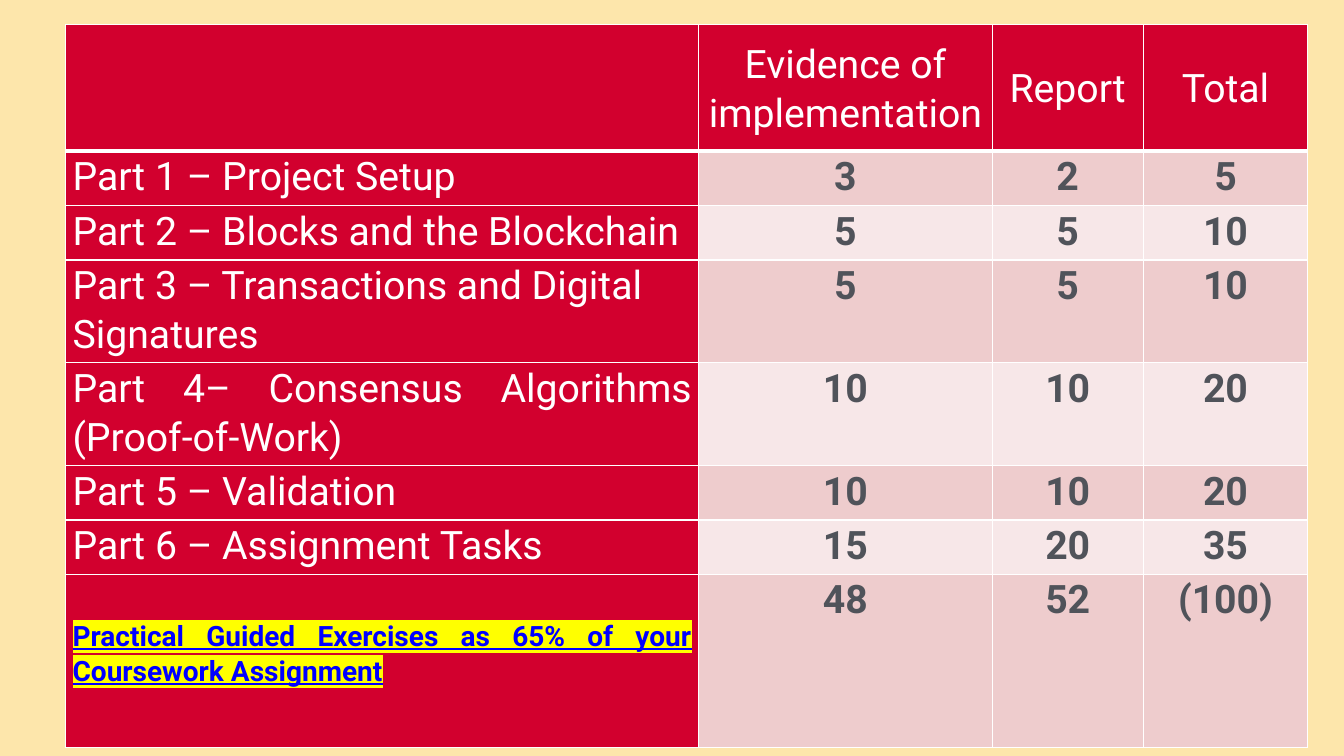
import dataclasses
import typing

import lxml.etree
import pptx
import pptx.dml.color
import pptx.enum.text
import pptx.oxml.ns
import pptx.util

PX = 9144
COLORS = {
    "background": "FDE6AB", "red": "D2002E", "pink": "EECCCD", "pale": "F7E7E8",
    "white": "FFFFFF", "grey": "50535A", "blue": "0000FF", "yellow": "FFFF00",
}
ALIGN = pptx.enum.text.PP_ALIGN
ANCHOR = pptx.enum.text.MSO_ANCHOR
qn = pptx.oxml.ns.qn


@dataclasses.dataclass(frozen=True)
class TextStyle:
    color: str
    align: ALIGN
    font: dict[str, typing.Any]
    anchor: ANCHOR = ANCHOR.TOP
    top: int = 0
    highlight: str = ""


@dataclasses.dataclass(frozen=True)
class MarkRow:
    label: str
    marks: tuple[str, str, str]
    height: int
    style: TextStyle


BASE = {"name": "Roboto", "size": pptx.util.Pt(28)}
HEADER = TextStyle("white", ALIGN.CENTER, BASE, ANCHOR.MIDDLE)
LABEL = TextStyle("white", ALIGN.JUSTIFY, BASE)
LABEL_LEFT = TextStyle("white", ALIGN.LEFT, BASE)
MARK = TextStyle("grey", ALIGN.CENTER, BASE | {"bold": True})
SUMMARY = TextStyle(
    "blue", ALIGN.JUSTIFY,
    BASE | {"size": pptx.util.Pt(20), "bold": True, "underline": True},
    top=43, highlight="yellow",
)

COLUMNS = (628, 291, 150, 163)
ROWS = (
    MarkRow("", ("Evidence of implementation", "Report", "Total"), 126, HEADER),
    MarkRow("Part 1 – Project Setup", ("3", "2", "5"), 54, LABEL),
    MarkRow("Part 2 – Blocks and the Blockchain", ("5", "5", "10"), 54, LABEL),
    MarkRow("Part 3 – Transactions and Digital Signatures", ("5", "5", "10"), 102, LABEL_LEFT),
    MarkRow("Part 4– Consensus Algorithms (Proof-of-Work)", ("10", "10", "20"), 102, LABEL),
    MarkRow("Part 5 – Validation", ("10", "10", "20"), 54, LABEL),
    MarkRow("Part 6 – Assignment Tasks", ("15", "20", "35"), 54, LABEL),
    MarkRow("Practical Guided Exercises as 65% of your Coursework Assignment",
            ("48", "52", "(100)"), 172, SUMMARY),
)


def px(n: int) -> int:
    return n * PX


def rgb(name: str) -> pptx.dml.color.RGBColor:
    return pptx.dml.color.RGBColor.from_string(COLORS[name])


def set_attributes(target: typing.Any, values: dict[str, typing.Any]) -> None:
    for name, value in values.items():
        setattr(target, name, value)


def add_borders(cell: typing.Any, bottom: int) -> None:
    tcPr = cell._tc.get_or_add_tcPr()
    widths = {"lnL": 1, "lnR": 1, "lnT": 1, "lnB": bottom}
    for i, (tag, width) in enumerate(widths.items()):
        ln = lxml.etree.Element(qn(f"a:{tag}"), w=str(pptx.util.Pt(width)))
        fill = lxml.etree.SubElement(ln, qn("a:solidFill"))
        lxml.etree.SubElement(fill, qn("a:srgbClr"), val=COLORS["white"])
        tcPr.insert(i, ln)


def add_highlight(r: typing.Any, color: str) -> None:
    highlight = lxml.etree.Element(qn("a:highlight"))
    lxml.etree.SubElement(highlight, qn("a:srgbClr"), val=COLORS[color])
    r._r.get_or_add_rPr().find(qn("a:solidFill")).addnext(highlight)


def write_cell(cell: typing.Any, text: str, style: TextStyle) -> None:
    set_attributes(cell, {
        "margin_left": px(7), "margin_right": px(7),
        "margin_top": px(style.top), "margin_bottom": 0,
        "vertical_anchor": style.anchor,
    })
    if not text:
        return
    p = cell.text_frame.paragraphs[0]
    set_attributes(p, {
        "alignment": style.align, "line_spacing": 1.07,
        "space_after": pptx.util.Pt(8),
    })
    r = p.add_run()
    r.text = text
    set_attributes(r.font, style.font)
    r.font.color.rgb = rgb(style.color)
    if style.highlight:
        add_highlight(r, style.highlight)


def add_marks_table(s: typing.Any) -> None:
    height = sum(row.height for row in ROWS)
    table = s.shapes.add_table(
        len(ROWS), len(COLUMNS), px(65), px(24), px(sum(COLUMNS)), px(height)
    ).table
    for column, width in zip(table.columns, COLUMNS):
        column.width = px(width)
    for i, row in enumerate(ROWS):
        table.rows[i].height = px(row.height)
        band = "pink" if i % 2 else "pale"
        for j, text in enumerate((row.label, *row.marks)):
            cell = table.cell(i, j)
            cell.fill.solid()
            cell.fill.fore_color.rgb = rgb("red" if i == 0 or j == 0 else band)
            add_borders(cell, 3 if i == 0 else 1)
            write_cell(cell, text, row.style if i == 0 or j == 0 else MARK)


def main() -> None:
    prs = pptx.Presentation()
    prs.slide_width, prs.slide_height = px(1333), px(750)
    s = prs.slides.add_slide(prs.slide_layouts[6])
    s.background.fill.solid()
    s.background.fill.fore_color.rgb = rgb("background")
    add_marks_table(s)
    prs.save("out.pptx")


if __name__ == "__main__":
    main()
